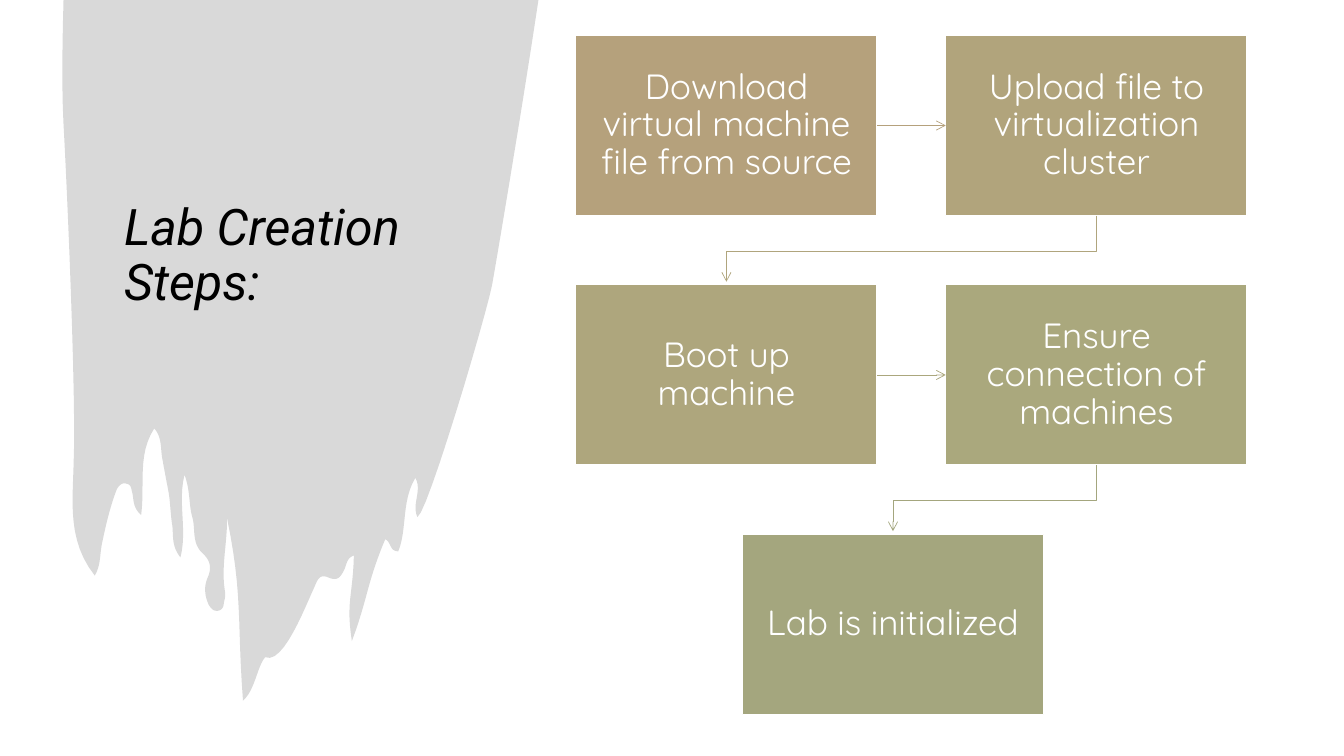
import pptx
import pptx.util
import pptx.dml.color
import pptx.enum.shapes
import pptx.enum.text
import pptx.oxml.ns
import lxml.etree

Inches = pptx.util.Inches
RGB = pptx.dml.color.RGBColor

WHITE = RGB(0xFF, 0xFF, 0xFF)
BLACK = RGB(0, 0, 0)
BRUSH_GREY = RGB(0xD9, 0xD9, 0xD9)
SAND = RGB(0xB5, 0xA1, 0x7C)
KHAKI = RGB(0xB1, 0xA4, 0x7C)
KHAKI_LINE = RGB(0xB0, 0xA5, 0x7D)
OLIVE = RGB(0xAE, 0xA6, 0x7D)
OLIVE_LINE = RGB(0xAB, 0xA7, 0x7D)
MOSS = RGB(0xAA, 0xA8, 0x7D)
SAGE = RGB(0xA4, 0xA6, 0x7E)

GRID_LEFT, GRID_TOP = 5.71, 0.35
COLUMN_PITCH, ROW_PITCH = 3.67, 2.475
STEP_WIDTH, STEP_HEIGHT = 2.99, 1.79
LAST_COLUMN = 0.45

STEPS = [
    ("Download virtual machine file from source", 0, 0, SAND),
    ("Upload file to virtualization cluster", 1, 0, KHAKI),
    ("Boot up machine", 0, 1, OLIVE),
    ("Ensure connection of machines", 1, 1, MOSS),
    ("Lab is initialized", LAST_COLUMN, 2, SAGE),
]

BRUSH_START = [(0.63, 0), (5.34, 0)]
BRUSH_CURVES = [
    (5.22, 0.81, 4.98, 2.26, 4.88, 2.83), (4.81, 3.17, 4.24, 5.09, 4.14, 5.13),
    (4.08, 5, 4.19, 4.87, 4.12, 4.74), (3.98, 4.97, 4.04, 5.25, 3.95, 5.47),
    (3.86, 5.47, 3.88, 5.37, 3.82, 5.35), (3.64, 5.78, 3.65, 5.93, 3.49, 6.36),
    (3.43, 5.97, 3.5, 5.91, 3.51, 5.51), (3.43, 5.54, 3.44, 5.61, 3.41, 5.66),
    (3.38, 5.72, 3.35, 5.77, 3.26, 5.73), (3.17, 5.69, 3.15, 5.75, 3.12, 5.82),
    (3.03, 6.01, 2.81, 6.6, 2.63, 6.52), (2.55, 6.61, 2.53, 6.85, 2.41, 6.95),
    (2.35, 6.16, 2.41, 5.9, 2.25, 5.13), (2.26, 5.37, 2.19, 5.61, 2.23, 5.86),
    (2.24, 5.9, 2.23, 5.94, 2.22, 5.98), (2.22, 6.02, 2.2, 6.06, 2.15, 6.06),
    (2.11, 6.06, 2.09, 6.03, 2.07, 6), (2.03, 5.91, 2.02, 5.82, 2.06, 5.73),
    (2.1, 5.64, 2.09, 5.56, 2.01, 5.49), (1.9, 5.39, 1.94, 5.25, 1.91, 5.14),
    (1.87, 5.01, 1.89, 4.87, 1.83, 4.71), (1.76, 4.99, 1.86, 5.25, 1.79, 5.53),
    (1.7, 5.42, 1.72, 5.31, 1.71, 5.22), (1.69, 5.1, 1.69, 4.98, 1.67, 4.87),
    (1.65, 4.77, 1.63, 4.66, 1.61, 4.55), (1.59, 4.45, 1.61, 4.34, 1.53, 4.25),
    (1.36, 4.51, 1.44, 4.81, 1.4, 5.11), (1.31, 5.03, 1.33, 4.95, 1.31, 4.88),
    (1.3, 4.84, 1.3, 4.81, 1.26, 4.8), (1.21, 4.78, 1.18, 4.82, 1.16, 4.85),
    (1.09, 5.03, 1.05, 5.21, 1.01, 5.4), (0.99, 5.5, 1, 5.61, 0.94, 5.71),
    (0.67, 5.37, 0.72, 4.99, 0.73, 4.61), (0.76, 4, 0.66, 1.74, 0.63, 1.23),
    (0.61, 0.82, 0.62, 0.41, 0.63, 0),
]


def curve_points(start, curve, count=12):
    x0, y0 = start
    x1, y1, x2, y2, x3, y3 = curve
    for step in range(1, count + 1):
        t = step / count
        a, b, c, d = (1 - t) ** 3, 3 * t * (1 - t) ** 2, 3 * t * t * (1 - t), t ** 3
        yield a * x0 + b * x1 + c * x2 + d * x3, a * y0 + b * y1 + c * y2 + d * y3


def add_outline(slide, points, close):
    corners = [(Inches(x), Inches(y)) for x, y in points]
    builder = slide.shapes.build_freeform(*corners[0], scale=1.0)
    builder.add_line_segments(corners[1:], close=close)
    outline = builder.convert_to_shape()
    outline.shadow.inherit = False
    return outline


def add_brush(slide):
    points = list(BRUSH_START)
    for curve in BRUSH_CURVES:
        points.extend(curve_points(points[-1], curve))
    brush = add_outline(slide, points, True)
    brush.fill.solid()
    brush.fill.fore_color.rgb = BRUSH_GREY
    brush.line.fill.background()


def format_text(frame, size, font, color, align, italic=False):
    frame.word_wrap = True
    frame.auto_size = pptx.enum.text.MSO_AUTO_SIZE.NONE
    frame.vertical_anchor = pptx.enum.text.MSO_ANCHOR.MIDDLE
    for paragraph in frame.paragraphs:
        paragraph.alignment = align
        paragraph.line_spacing = 0.9
        for run in paragraph.runs:
            run.font.size = pptx.util.Pt(size)
            run.font.name = font
            run.font.italic = italic
            run.font.color.rgb = color


def add_heading(slide):
    heading = slide.shapes.title
    heading.left, heading.top = Inches(1.13), Inches(1.13)
    heading.width, heading.height = Inches(3.86), Inches(2.83)
    heading.text_frame.text = "Lab Creation Steps:"
    format_text(heading.text_frame, 36, "Roboto", BLACK,
                pptx.enum.text.PP_ALIGN.LEFT, italic=True)


def add_step(slide, wording, column, row, color):
    step = slide.shapes.add_shape(
        pptx.enum.shapes.MSO_SHAPE.RECTANGLE,
        Inches(GRID_LEFT + column * COLUMN_PITCH), Inches(GRID_TOP + row * ROW_PITCH),
        Inches(STEP_WIDTH), Inches(STEP_HEIGHT))
    step.shadow.inherit = False
    step.fill.solid()
    step.fill.fore_color.rgb = color
    step.line.color.rgb = WHITE
    step.line.width = pptx.util.Pt(1)
    frame = step.text_frame
    frame.text = wording
    frame.margin_left = frame.margin_right = Inches(0.15)
    frame.margin_top = frame.margin_bottom = Inches(0.15)
    format_text(frame, 25, "Quicksand", WHITE, pptx.enum.text.PP_ALIGN.CENTER)
    return step


def style_arrow(arrow, color):
    arrow.line.color.rgb = color
    arrow.line.width = pptx.util.Pt(0.5)
    lxml.etree.SubElement(arrow.line._get_or_add_ln(),
                          pptx.oxml.ns.qn("a:tailEnd"), type="arrow")


def add_across_arrow(slide, source, target, color):
    arrow = slide.shapes.add_connector(pptx.enum.shapes.MSO_CONNECTOR.STRAIGHT, 0, 0, 0, 0)
    arrow.begin_connect(source, 3)
    arrow.end_connect(target, 1)
    style_arrow(arrow, color)
    lxml.etree.SubElement(arrow._element.spPr, pptx.oxml.ns.qn("a:effectLst"))


def add_down_arrow(slide, row, target_column, color):
    def middle(column):
        return GRID_LEFT + column * COLUMN_PITCH + STEP_WIDTH / 2

    start_y = GRID_TOP + row * ROW_PITCH + STEP_HEIGHT
    bend_y = start_y + 0.35
    end_y = GRID_TOP + (row + 1) * ROW_PITCH - 0.03
    start_x, end_x = middle(1), middle(target_column)
    arrow = add_outline(slide, [(start_x, start_y), (start_x, bend_y),
                                (end_x, bend_y), (end_x, end_y)], False)
    arrow.fill.background()
    style_arrow(arrow, color)


def main():
    deck = pptx.Presentation()
    deck.slide_width, deck.slide_height = Inches(13.33), Inches(7.5)
    slide = deck.slides.add_slide(deck.slide_layouts[5])
    slide.background.fill.solid()
    slide.background.fill.fore_color.rgb = WHITE
    add_brush(slide)
    add_heading(slide)
    download, upload, boot, ensure, _ = [add_step(slide, *step) for step in STEPS]
    add_across_arrow(slide, download, upload, SAND)
    add_down_arrow(slide, 0, 0, KHAKI_LINE)
    add_across_arrow(slide, boot, ensure, OLIVE_LINE)
    add_down_arrow(slide, 1, LAST_COLUMN, SAGE)
    title = slide.shapes.title._element
    title.getparent().append(title)
    deck.save("out.pptx")


if __name__ == "__main__":
    main()
